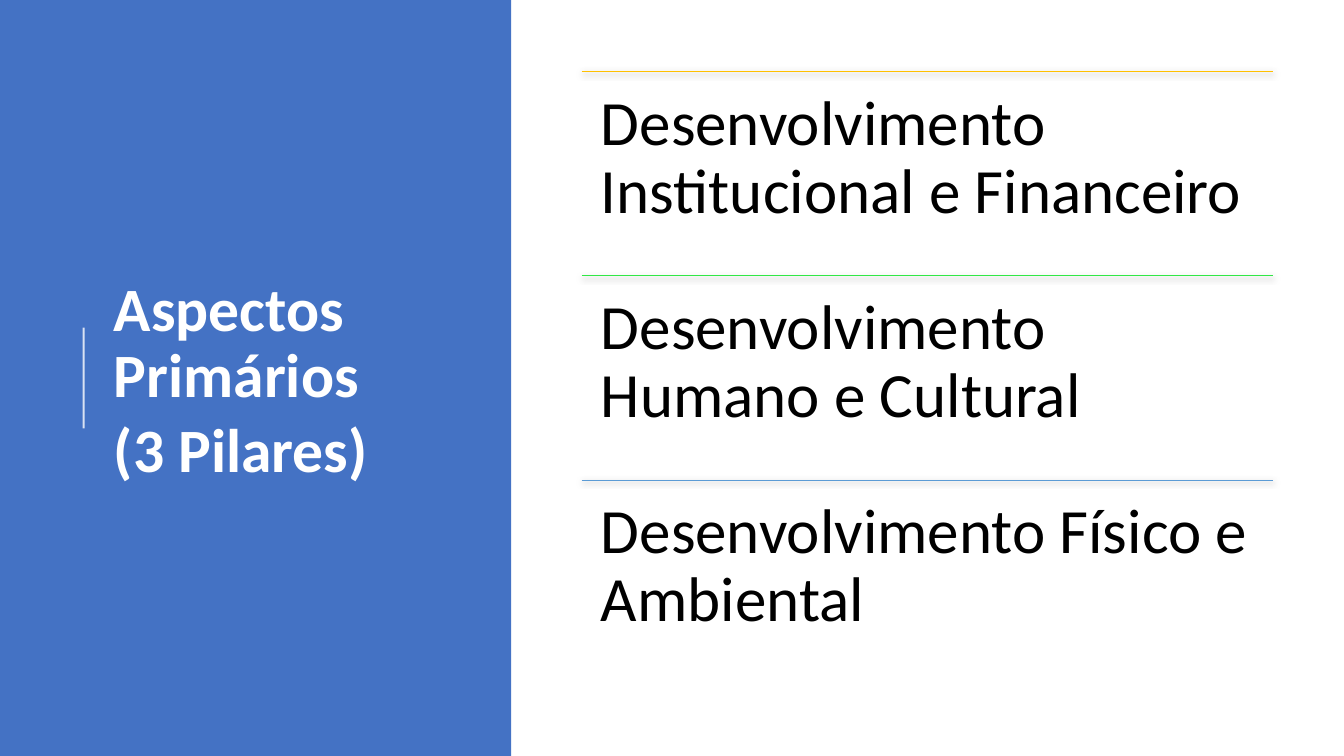
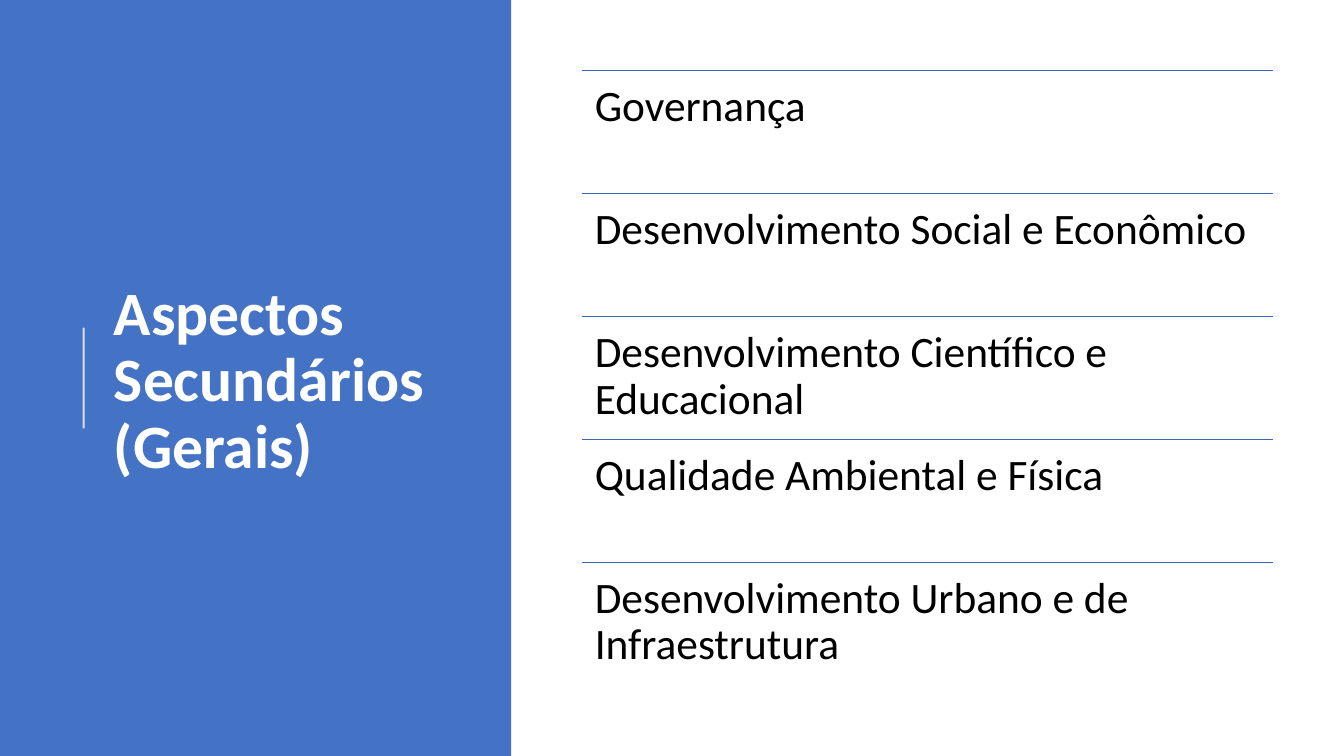
from dataclasses import dataclass

from lxml import etree
from pptx import Presentation
from pptx.dml.color import RGBColor
from pptx.enum.shapes import MSO_CONNECTOR, MSO_SHAPE
from pptx.enum.text import MSO_ANCHOR, MSO_AUTO_SIZE, PP_ALIGN
from pptx.oxml.ns import qn
from pptx.util import Inches, Pt

STRAIGHT = MSO_CONNECTOR.STRAIGHT
RECTANGLE = MSO_SHAPE.RECTANGLE
TOP, MIDDLE = MSO_ANCHOR.TOP, MSO_ANCHOR.MIDDLE
NO_AUTOFIT = MSO_AUTO_SIZE.NONE
LEFT = PP_ALIGN.LEFT

FONT = "Calibri"
BLUE, WHITE, BLACK = "4472C4", "FFFFFF", "000000"
RULE_BLUE = "3E67B2"
SLIDE_W, SLIDE_H = 13.33, 7.5
PANEL_W = 5.07
LIST_X, LIST_W = 5.77, 6.86
TITLE_ONLY = 5


@dataclass(frozen=True)
class Item:
    text: str
    rule: str = RULE_BLUE


@dataclass(frozen=True)
class Section:
    title: tuple[str, ...]
    items: tuple[Item, ...]
    margin_y: float
    size: float
    inset: float
    rule_width: float
    shadow: bool = False


SECTIONS = (
    Section(
        title=("Aspectos Primários", "(3 Pilares)"),
        items=(
            Item("Desenvolvimento Institucional e Financeiro", "FFC000"),
            Item("Desenvolvimento Humano e Cultural", "30E845"),
            Item("Desenvolvimento Físico e Ambiental", "5B9BD5"),
        ),
        margin_y=0.71, size=45, inset=0.19, rule_width=0.5, shadow=True,
    ),
    Section(
        title=("Aspectos Secundários (Gerais)",),
        items=(
            Item("Governança"),
            Item("Desenvolvimento Social e Econômico"),
            Item("Desenvolvimento Científico e Educacional"),
            Item("Qualidade Ambiental e Física"),
            Item("Desenvolvimento Urbano e de Infraestrutura"),
        ),
        margin_y=0.7, size=31, inset=0.13, rule_width=1,
    ),
)


def rgb(color: str) -> RGBColor:
    """Turn a hex string into a colour."""
    return RGBColor.from_string(color)


def add_alpha(color_element, percent: int) -> None:
    """Set the opacity of a colour element."""
    etree.SubElement(color_element, qn("a:alpha"), val=str(percent * 1000))


def write(sp, *lines: str, size: float, color: str, bold: bool = False,
          anchor=TOP, inset_x: float = 0.1, inset_y: float = 0.05,
          after: float = 0) -> None:
    """Fill a shape with formatted paragraphs."""
    tf = sp.text_frame
    tf.word_wrap = True
    tf.auto_size = NO_AUTOFIT
    tf.vertical_anchor = anchor
    tf.margin_left = tf.margin_right = Inches(inset_x)
    tf.margin_top = tf.margin_bottom = Inches(inset_y)
    for i, line in enumerate(lines):
        p = tf.add_paragraph() if i else tf.paragraphs[0]
        p.alignment = LEFT
        p.line_spacing = 0.9
        p.space_after = Pt(after)
        r = p.add_run()
        r.text = line
        r.font.name = FONT
        r.font.size = Pt(size)
        r.font.bold = bold
        r.font.color.rgb = rgb(color)


def add_line(s, x1: float, y1: float, x2: float, y2: float, *, color: str,
             width: float, opacity: int = 100, shadow: bool = False) -> None:
    """Draw a straight line, with an optional soft shadow below it."""
    line = s.shapes.add_connector(
        STRAIGHT, Inches(x1), Inches(y1), Inches(x2), Inches(y2))
    line.line.color.rgb = rgb(color)
    line.line.width = Pt(width)
    sp_pr = line._element.spPr
    if opacity < 100:
        add_alpha(sp_pr.find(".//" + qn("a:srgbClr")), opacity)
    effects = etree.SubElement(sp_pr, qn("a:effectLst"))
    if shadow:
        outer = etree.SubElement(
            effects, qn("a:outerShdw"), blurRad=str(Pt(4.5)),
            dist=str(Pt(1.5)), dir="5400000", algn="ctr", rotWithShape="0")
        add_alpha(etree.SubElement(outer, qn("a:srgbClr"), val=BLACK), 63)


def add_panel(s, title: tuple[str, ...]) -> None:
    """Draw the blue side panel with its accent line and title."""
    panel = s.shapes.add_shape(
        RECTANGLE, 0, 0, Inches(PANEL_W), Inches(SLIDE_H))
    panel.shadow.inherit = False
    panel.fill.solid()
    panel.fill.fore_color.rgb = rgb(BLUE)
    panel.line.fill.background()
    add_line(s, 0.83, 4.25, 0.83, 3.25, color=WHITE, width=1.5, opacity=80)

    sp = s.shapes.title
    sp.left, sp.top = Inches(1.03), Inches(0.78)
    sp.width, sp.height = Inches(3.69), Inches(6.02)
    write(sp, *title, size=44, color=WHITE, bold=True, anchor=MIDDLE, after=6)
    s.shapes._spTree.append(sp._element)


def add_list(s, section: Section) -> None:
    """Stack the items in equal rows, each under a rule."""
    row_h = (SLIDE_H - 2 * section.margin_y) / len(section.items)
    for i, item in enumerate(section.items):
        y = section.margin_y + i * row_h
        add_line(s, LIST_X, y, LIST_X + LIST_W, y, color=item.rule,
                 width=section.rule_width, shadow=section.shadow)
        sp = s.shapes.add_textbox(
            Inches(LIST_X), Inches(y), Inches(LIST_W), Inches(row_h))
        write(sp, item.text, size=section.size, color=BLACK,
              inset_x=section.inset, inset_y=section.inset)


def main() -> None:
    """Build and save the presentation."""
    prs = Presentation()
    prs.slide_width, prs.slide_height = Inches(SLIDE_W), Inches(SLIDE_H)
    for section in SECTIONS:
        s = prs.slides.add_slide(prs.slide_layouts[TITLE_ONLY])
        add_panel(s, section.title)
        add_list(s, section)
    prs.save("out.pptx")


if __name__ == "__main__":
    main()
